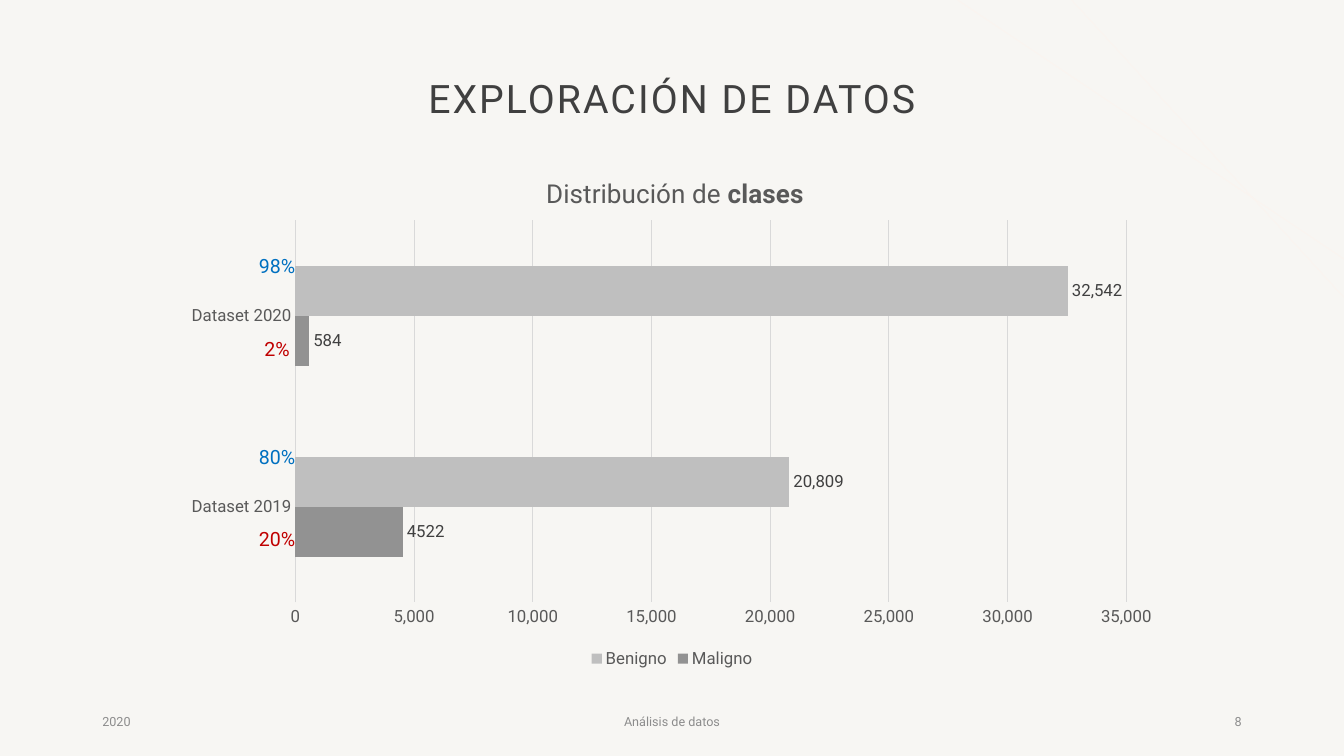
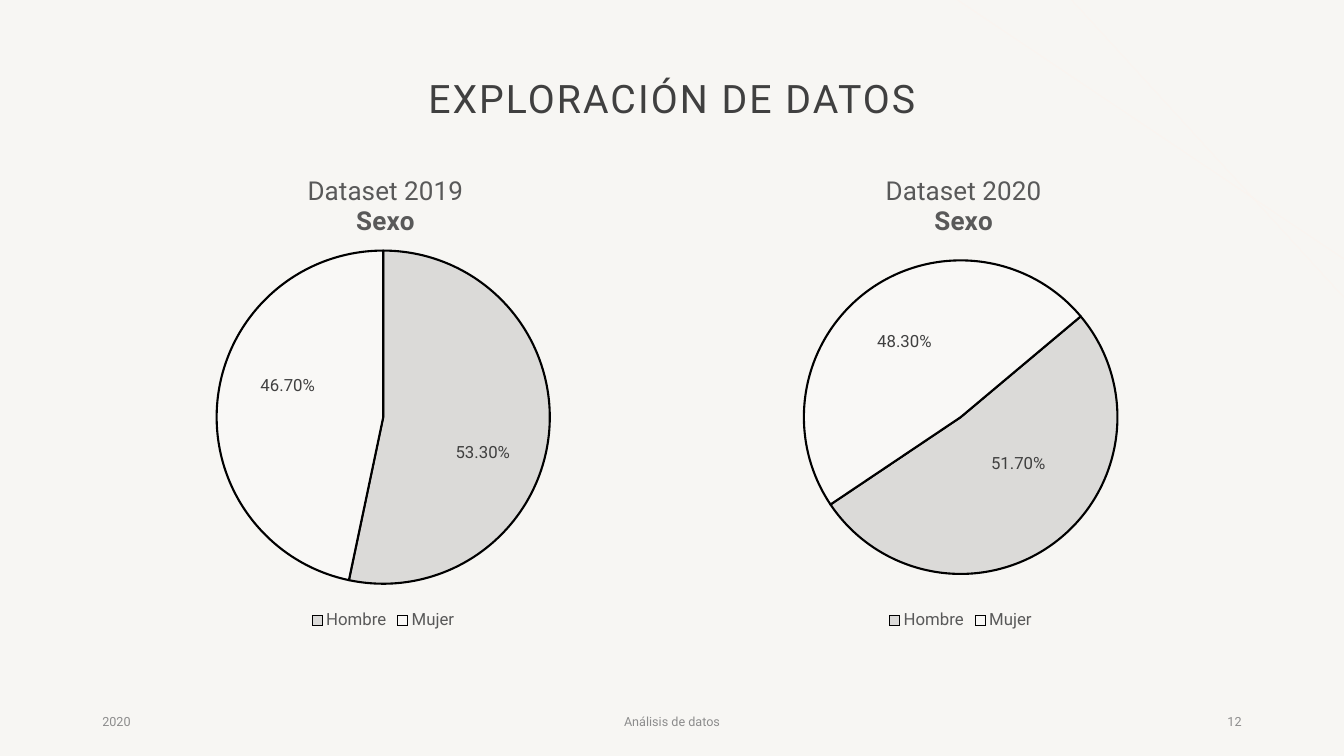
from dataclasses import dataclass

import pptx
import pptx.chart.data
import pptx.dml.color
import pptx.enum.chart
import pptx.enum.shapes
import pptx.enum.text
import pptx.oxml
import pptx.oxml.ns
import pptx.util

Pt = pptx.util.Pt
Align = pptx.enum.text.PP_ALIGN
Anchor = pptx.enum.text.MSO_ANCHOR


@dataclass(frozen=True)
class Theme:
    font: str = "Roboto"
    background: str = "F7F6F3"
    decoration: str = "FBF4EF"
    heading: str = "404040"
    chart_text: str = "595959"
    footer: str = "8C8C8C"
    grid: str = "D9D9D9"
    benign: str = "BFBFBF"
    malignant: str = "929292"
    benign_share: str = "0070C0"
    malignant_share: str = "C00000"
    men: str = "DBDAD8"
    women: str = "F9F8F6"
    outline: str = "000000"
    heading_size: float = 28
    chart_title_size: float = 18.6
    share_size: float = 14
    chart_size: float = 12
    footer_size: float = 9


THEME = Theme()
SLIDE_WIDTH, SLIDE_HEIGHT = 960, 540


@dataclass(frozen=True)
class Box:
    left: float
    top: float
    width: float
    height: float

    def points(self):
        return [Pt(side) for side in (self.left, self.top, self.width, self.height)]


def rgb(color):
    return pptx.dml.color.RGBColor.from_string(color)


def paint(fill, color):
    fill.solid()
    fill.fore_color.rgb = rgb(color)


def set_font(font, size, color, bold=False):
    font.name = THEME.font
    font.size = Pt(size)
    font.bold = bold
    font.color.rgb = rgb(color)


def write(frame, *lines, size, color, align=Align.LEFT, emphasis=None,
          line_spacing=None, letter_spacing=None):
    """Write one paragraph per line; a line is a list of runs, bold where equal to emphasis."""
    for index, line in enumerate(lines):
        paragraph = frame.add_paragraph() if index else frame.paragraphs[0]
        paragraph.alignment = align
        if line_spacing:
            paragraph.line_spacing = line_spacing
        for words in line:
            run = paragraph.add_run()
            run.text = words
            set_font(run.font, size, color, words == emphasis)
            if letter_spacing:
                run.font._element.set("spc", str(int(letter_spacing * 100)))


def add_label(slide, box, text, anchor=Anchor.TOP, **style):
    frame = slide.shapes.add_textbox(*box.points()).text_frame
    frame.word_wrap = True
    frame.vertical_anchor = anchor
    write(frame, [text], **style)


def set_layout(parent, index, edge=True, **fractions):
    """Place a chart part by fractions of the chart area; edge=False means an offset."""
    c = pptx.oxml.ns.qn
    for old in parent.findall(c("c:layout")):
        parent.remove(old)
    modes = '<c:xMode val="edge"/><c:yMode val="edge"/>' if edge else ""
    target = '<c:layoutTarget val="inner"/>' if "w" in fractions else ""
    values = "".join(f'<c:{key} val="{value:.4f}"/>' for key, value in fractions.items())
    parent.insert(index, pptx.oxml.parse_xml(
        f'<c:layout {pptx.oxml.ns.nsdecls("c")}><c:manualLayout>'
        f"{target}{modes}{values}</c:manualLayout></c:layout>"))


def add_chart(slide, kind, box, data, plot, title_at, title_lines, emphasis):
    """Add a chart; plot and title_at are in points from its top left corner."""
    chart = slide.shapes.add_chart(kind, *box.points(), data).chart
    set_font(chart.font, THEME.chart_size, THEME.chart_text)
    chart.has_title = True
    write(chart.chart_title.text_frame, *title_lines, size=THEME.chart_title_size,
          color=THEME.chart_text, align=Align.CENTER, emphasis=emphasis)
    set_layout(chart.chart_title.element, 1,
               x=title_at[0] / box.width, y=title_at[1] / box.height)
    set_layout(chart.element.xpath(".//c:plotArea")[0], 0,
               x=plot.left / box.width, y=plot.top / box.height,
               w=plot.width / box.width, h=plot.height / box.height)
    chart.has_legend = True
    chart.legend.position = pptx.enum.chart.XL_LEGEND_POSITION.BOTTOM
    chart.legend.include_in_layout = False
    set_font(chart.legend.font, THEME.chart_size, THEME.chart_text)
    return chart


def show_values(labels, number_format, position):
    labels.show_value = True
    labels.number_format = number_format
    labels.number_format_is_linked = False
    labels.position = position
    set_font(labels.font, THEME.chart_size, THEME.heading)


def style_bar_axes(chart):
    for axis in (chart.category_axis, chart.value_axis):
        axis.major_tick_mark = axis.minor_tick_mark = pptx.enum.chart.XL_TICK_MARK.NONE
        set_font(axis.tick_labels.font, THEME.chart_size, THEME.chart_text)
    values = chart.value_axis
    values.minimum_scale, values.maximum_scale, values.major_unit = 0, 35000, 5000
    values.tick_labels.number_format = "#,##0"
    values.tick_labels.number_format_is_linked = False
    values.format.line.fill.background()
    for line in (chart.category_axis.format.line, values.major_gridlines.format.line):
        line.color.rgb = rgb(THEME.grid)
        line.width = Pt(0.75)


def add_class_chart(slide, box):
    data = pptx.chart.data.CategoryChartData()
    data.categories = ["Dataset 2019", "Dataset 2020"]
    data.add_series("Maligno", (4522, 584))
    data.add_series("Benigno", (20809, 32542))
    chart = add_chart(slide, pptx.enum.chart.XL_CHART_TYPE.BAR_CLUSTERED, box, data,
                      plot=Box(88.5, 48, 593.5, 273), title_at=(265.5, 15),
                      title_lines=[["Distribución de ", "clases"]], emphasis="clases")
    style_bar_axes(chart)
    bars = chart.plots[0]
    bars.gap_width = 182
    bars.vary_by_categories = False
    looks = ((THEME.malignant, "General"), (THEME.benign, "#,##0"))
    for series, (color, number_format) in zip(bars.series, looks):
        paint(series.format.fill, color)
        show_values(series.data_labels, number_format,
                    pptx.enum.chart.XL_LABEL_POSITION.OUTSIDE_END)


def add_class_shares(slide, box):
    """Stack the percentages of both datasets, the newer on top."""
    for group, shares in enumerate((("98%", "2%"), ("80%", "20%"))):
        colors = (THEME.benign_share, THEME.malignant_share)
        for row, (share, color) in enumerate(zip(shares, colors)):
            place = Box(box.left, box.top + 136 * group + 59 * row, box.width, 24)
            add_label(slide, place, share, size=THEME.share_size, color=color,
                      align=Align.CENTER)


def add_sex_chart(slide, box, dataset, shares, radius, start, title_left, label_shifts):
    """Add a pie centred in its box; label_shifts move each label from mid-slice, in points."""
    data = pptx.chart.data.CategoryChartData(number_format="0.00%")
    data.categories = ["Hombre", "Mujer"]
    data.add_series("Series 1", shares)
    plot = Box(box.width / 2 - radius, 190 - radius, 2 * radius, 2 * radius)
    chart = add_chart(slide, pptx.enum.chart.XL_CHART_TYPE.PIE, box, data, plot=plot,
                      title_at=(title_left, 14), title_lines=[[dataset], ["Sexo"]],
                      emphasis="Sexo")
    pie = chart.plots[0]
    pie.vary_by_categories = True
    for old in pie._element.xpath("c:firstSliceAng"):
        pie._element.remove(old)
    pie._element.append(pptx.oxml.parse_xml(
        f'<c:firstSliceAng {pptx.oxml.ns.nsdecls("c")} val="{start}"/>'))
    series = pie.series[0]
    center = pptx.enum.chart.XL_LABEL_POSITION.CENTER
    show_values(series.data_labels, "0.00%", center)
    for index, color in enumerate((THEME.men, THEME.women)):
        point = series.points[index]
        paint(point.format.fill, color)
        point.format.line.color.rgb = rgb(THEME.outline)
        point.format.line.width = Pt(1.5)
        set_font(point.data_label.font, THEME.chart_size, THEME.heading)
        point.data_label.position = center
    for label, (right, down) in zip(chart.element.xpath(".//c:dLbl"), label_shifts):
        set_layout(label, 1, edge=False, x=right / box.width, y=down / box.height)


def add_decoration(slide):
    for start, end in ((684, 185), (765.5, 212.5)):
        line = slide.shapes.add_connector(pptx.enum.shapes.MSO_CONNECTOR.STRAIGHT,
                                          Pt(start), Pt(0), Pt(SLIDE_WIDTH), Pt(end))
        line.line.color.rgb = rgb(THEME.decoration)
        line.line.width = Pt(0.5)
        line._element.spPr.append(pptx.oxml.parse_xml(
            f'<a:effectLst {pptx.oxml.ns.nsdecls("a")}/>'))


def add_footer(slide, box, number):
    parts = (("2020", 0, 216, Align.LEFT),
             ("Análisis de datos", (box.width - 324) / 2, 324, Align.CENTER),
             (str(number), box.width - 216, 216, Align.RIGHT))
    for text, offset, width, align in parts:
        add_label(slide, Box(box.left + offset, box.top, width, box.height), text,
                  anchor=Anchor.MIDDLE, size=THEME.footer_size, color=THEME.footer,
                  align=align)


def add_base_slide(deck, number):
    slide = deck.slides.add_slide(deck.slide_layouts[5])
    add_decoration(slide)
    title = slide.shapes.title
    title.left, title.top, title.width, title.height = Box(148.5, 20, 663, 104.5).points()
    title.text_frame.vertical_anchor = Anchor.MIDDLE
    title.text_frame.word_wrap = True
    write(title.text_frame, ["EXPLORACIÓN DE DATOS"], size=THEME.heading_size,
          color=THEME.heading, align=Align.CENTER, line_spacing=0.9, letter_spacing=1.5)
    add_footer(slide, Box(66, 500.5, 828, 29), number)
    return slide


def add_class_slide(deck):
    slide = add_base_slide(deck, 8)
    add_class_chart(slide, Box(122.5, 109.5, 715, 371))
    add_class_shares(slide, Box(174, 178, 48, 24))


def add_sex_slide(deck):
    slide = add_base_slide(deck, 12)
    add_sex_chart(slide, Box(66, 108, 415.5, 345), "Dataset 2019", (0.533, 0.467),
                  radius=119, start=0, title_left=151.5,
                  label_shifts=((12, 19), (-9, -16.5)))
    add_sex_chart(slide, Box(478.5, 108, 415.5, 345), "Dataset 2020", (0.517, 0.483),
                  radius=112, start=50, title_left=152,
                  label_shifts=((7.5, -11.5), (-6.5, -9.5)))


def main():
    deck = pptx.Presentation()
    deck.slide_width, deck.slide_height = Pt(SLIDE_WIDTH), Pt(SLIDE_HEIGHT)
    paint(deck.slide_master.background.fill, THEME.background)
    add_class_slide(deck)
    add_sex_slide(deck)
    deck.save("out.pptx")


if __name__ == "__main__":
    main()
